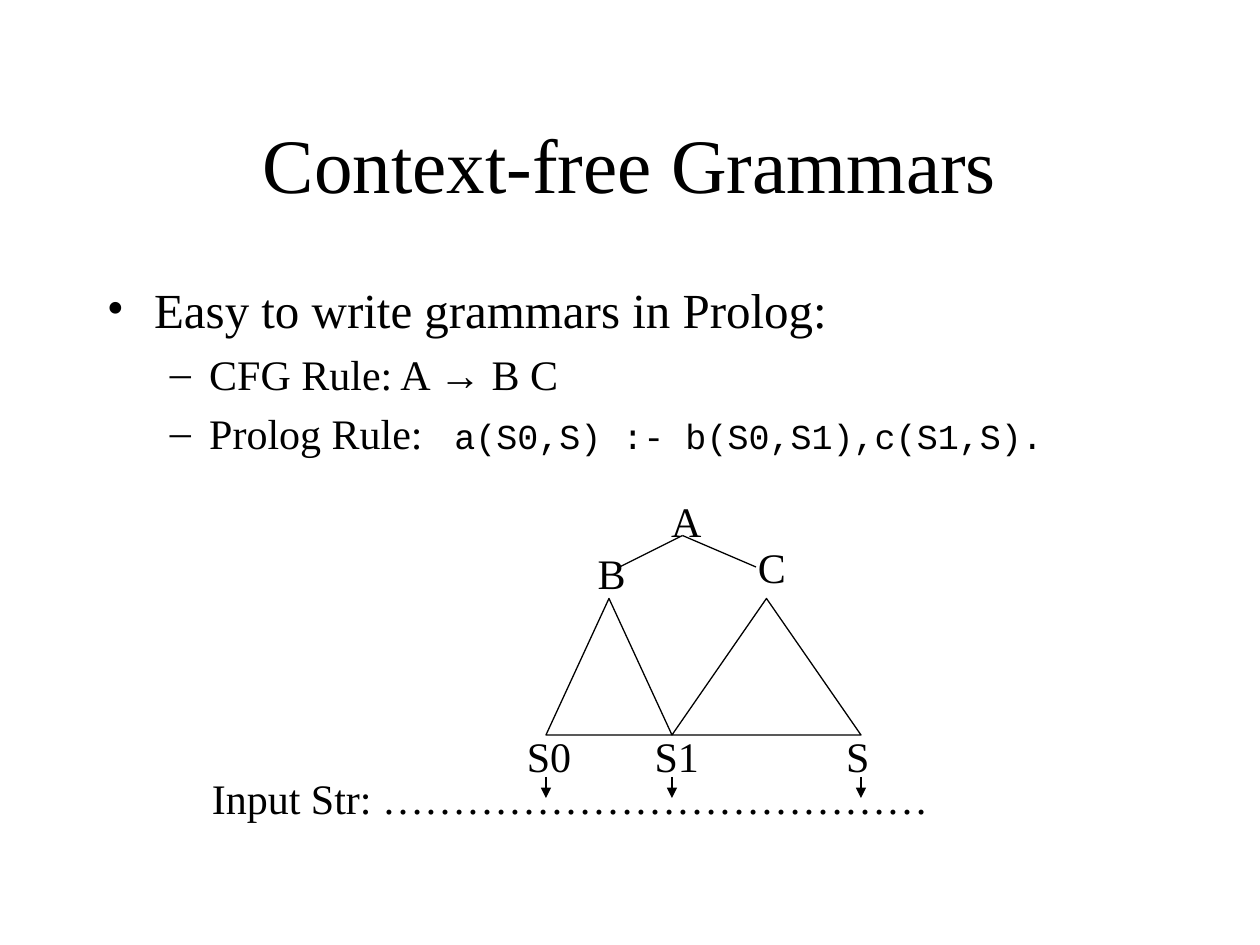
from dataclasses import dataclass

from lxml import etree
from pptx import Presentation
from pptx.dml.color import RGBColor
from pptx.enum.shapes import MSO_CONNECTOR, MSO_SHAPE
from pptx.enum.text import MSO_ANCHOR, PP_ALIGN
from pptx.oxml.ns import qn
from pptx.util import Pt

STRAIGHT = MSO_CONNECTOR.STRAIGHT
TRIANGLE = MSO_SHAPE.ISOSCELES_TRIANGLE
MIDDLE = MSO_ANCHOR.MIDDLE
CENTER = PP_ALIGN.CENTER


@dataclass(frozen=True)
class Theme:
    ink: RGBColor = RGBColor(0, 0, 0)
    serif: str = "Times New Roman"
    sans: str = "Arial"
    mono: str = "Courier New"
    title: int = 44
    lead: int = 28
    text: int = 24
    code: int = 20
    line: float = 0.75


THEME = Theme()


def add_text(paragraph, text, size=THEME.text, font=THEME.serif):
    run = paragraph.add_run()
    run.text = text
    run.font.size = Pt(size)
    run.font.name = font
    run.font.color.rgb = THEME.ink


def add_line(start, end, arrow=False):
    """Draw a thin line, with an arrowhead at its end if asked."""
    line = slide.shapes.add_connector(STRAIGHT, *map(Pt, start + end))
    line.line.color.rgb = THEME.ink
    line.line.width = Pt(THEME.line)
    if arrow:
        outline = line.line._get_or_add_ln()
        etree.SubElement(outline, qn("a:tailEnd"), type="triangle")
    etree.SubElement(line._element.spPr, qn("a:effectLst"))


presentation = Presentation()
presentation.slide_width = Pt(720)
presentation.slide_height = Pt(540)
slide = presentation.slides.add_slide(presentation.slide_layouts[6])

# Title
title = slide.shapes.add_textbox(Pt(54), Pt(48), Pt(612), Pt(90)).text_frame
title.word_wrap = True
title.vertical_anchor = MIDDLE
title.paragraphs[0].alignment = CENTER
add_text(title.paragraphs[0], "Context-free Grammars", THEME.title)

# Bullets: level, bullet, left margin, hanging indent, space before, runs
bullets = [
    (0, "•", 27, 27, 7, [("Easy to write grammars in Prolog:", THEME.lead, THEME.serif)]),
    (1, "–", 58.5, 22.5, 6, [
        ("CFG Rule: A ", THEME.text, THEME.serif),
        ("→", THEME.text, THEME.sans),
        (" B C", THEME.text, THEME.serif),
    ]),
    (1, "–", 58.5, 22.5, 5, [
        ("Prolog Rule: ", THEME.text, THEME.serif),
        (" a(S0,S) :- b(S0,S1),c(S1,S).", THEME.code, THEME.mono),
    ]),
]
body = slide.shapes.add_textbox(Pt(54), Pt(156), Pt(612), Pt(138)).text_frame
body.word_wrap = True
for index, (level, bullet, margin, hanging, space, runs) in enumerate(bullets):
    paragraph = body.add_paragraph() if index else body.paragraphs[0]
    paragraph.level = level
    paragraph.space_before = Pt(space)
    properties = paragraph._p.get_or_add_pPr()
    properties.set("marL", str(Pt(margin)))
    properties.set("indent", str(-Pt(hanging)))
    etree.SubElement(properties, qn("a:buFont"), typeface=THEME.serif)
    etree.SubElement(properties, qn("a:buChar"), char=bullet)
    for text, size, font in runs:
        add_text(paragraph, text, size, font)

# Parse tree: each subtree spans two neighbouring string positions
positions = [312, 384, 492]
subtree_top, subtree_height = 342, 78
for left, right in zip(positions, positions[1:]):
    subtree = slide.shapes.add_shape(
        TRIANGLE, Pt(left), Pt(subtree_top), Pt(right - left), Pt(subtree_height))
    subtree.shadow.inherit = False
    subtree.fill.background()
    subtree.line.color.rgb = THEME.ink
    subtree.line.width = Pt(THEME.line)

root = (390, 306)
for child in [(354, 324), (432, 324)]:
    add_line(root, child)

for x in positions:
    add_line((x, 444), (x, 456), arrow=True)

# Labels: text, left, top, width
labels = [
    ("A", 376.5, 279.5, 36),
    ("B", 334.5, 309.5, 36),
    ("C", 426, 306, 36),
    ("S0", 294, 414, 48),
    ("S1", 367, 414, 48),
    ("S", 476.5, 414, 36),
    ("Input Str: …………………………………", 114, 438, 432),
]
for text, left, top, width in labels:
    label = slide.shapes.add_textbox(Pt(left), Pt(top), Pt(width), Pt(36)).text_frame
    label.word_wrap = True
    add_text(label.paragraphs[0], text)

presentation.save("out.pptx")
